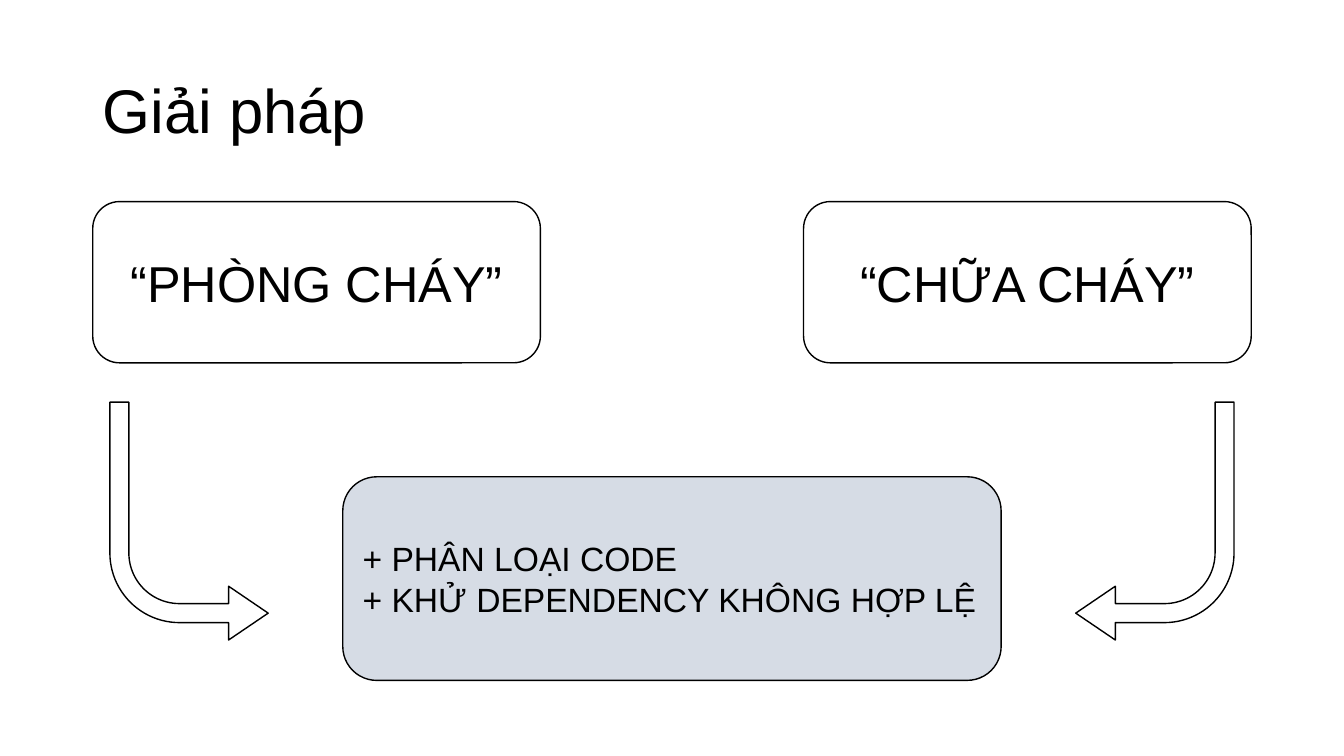
from pptx import Presentation
from pptx.dml.color import RGBColor
from pptx.enum.shapes import MSO_SHAPE
from pptx.enum.text import MSO_ANCHOR, PP_ALIGN
from pptx.util import Emu, Pt

SLIDE_WIDTH, SLIDE_HEIGHT = 1333, 750


def px(length):
    return Emu(length * 9144)


def color(value):
    return RGBColor.from_string(value)


class SlideBuilder:
    """Draws outlined shapes and text on one slide in a shared style."""

    font_name = "Arial"
    ink = "000000"
    paper = "FFFFFF"

    def __init__(self, presentation):
        self.slide = presentation.slides.add_slide(presentation.slide_layouts[6])

    def set_text(self, shape, lines, size, alignment=PP_ALIGN.LEFT, line_spacing=1.0):
        frame = shape.text_frame
        frame.word_wrap = True
        frame.vertical_anchor = MSO_ANCHOR.MIDDLE
        frame.text = "\n".join(lines)
        for paragraph in frame.paragraphs:
            paragraph.alignment = alignment
            paragraph.line_spacing = line_spacing
            paragraph.font.name = self.font_name
            paragraph.font.size = Pt(size)
            paragraph.font.color.rgb = color(self.ink)

    def title(self, text, left, top, width, height):
        box = self.slide.shapes.add_textbox(px(left), px(top), px(width), px(height))
        self.set_text(box, [text], 44, line_spacing=0.9)

    def outlined(self, kind, left, top, width, height, fill):
        shape = self.slide.shapes.add_shape(kind, px(left), px(top), px(width), px(height))
        shape.shadow.inherit = False
        shape.fill.solid()
        shape.fill.fore_color.rgb = color(fill)
        shape.line.color.rgb = color(self.ink)
        shape.line.width = Pt(1)
        return shape

    def card(self, lines, left, top, width, height, size, alignment, fill=paper):
        shape = self.outlined(MSO_SHAPE.ROUNDED_RECTANGLE, left, top, width, height, fill)
        self.set_text(shape, lines, size, alignment)

    def bent_arrow(self, left, top, width, height, points_left):
        shape = self.outlined(MSO_SHAPE.BENT_ARROW, left, top, width, height, self.paper)
        for index, value in enumerate((0.12, 0.17, 0.25, 0.44)):
            shape.adjustments[index] = value
        transform = shape.element.spPr.xfrm
        transform.set("flipV", "1")
        if points_left:
            transform.set("flipH", "1")


def main():
    presentation = Presentation()
    presentation.slide_width = px(SLIDE_WIDTH)
    presentation.slide_height = px(SLIDE_HEIGHT)
    builder = SlideBuilder(presentation)

    builder.title("Giải pháp", 92, 40, 1150, 145)

    card_width, card_margin = 444, 92
    card_lefts = (card_margin, SLIDE_WIDTH - card_margin - card_width)
    for text, left in zip(("“PHÒNG CHÁY”", "“CHỮA CHÁY”"), card_lefts):
        builder.card([text], left, 200, card_width, 160, 36, PP_ALIGN.CENTER)

    solutions = ["+ PHÂN LOẠI CODE", "+ KHỬ DEPENDENCY KHÔNG HỢP LỆ"]
    builder.card(solutions, 340, 473, 653, 202, 24, PP_ALIGN.LEFT, "D6DCE5")

    arrow_width, arrow_margin = 157, 109
    arrow_lefts = (arrow_margin, SLIDE_WIDTH - arrow_margin - arrow_width)
    for left, points_left in zip(arrow_lefts, (False, True)):
        builder.bent_arrow(left, 399, arrow_width, 236, points_left)

    presentation.save("out.pptx")


if __name__ == "__main__":
    main()
